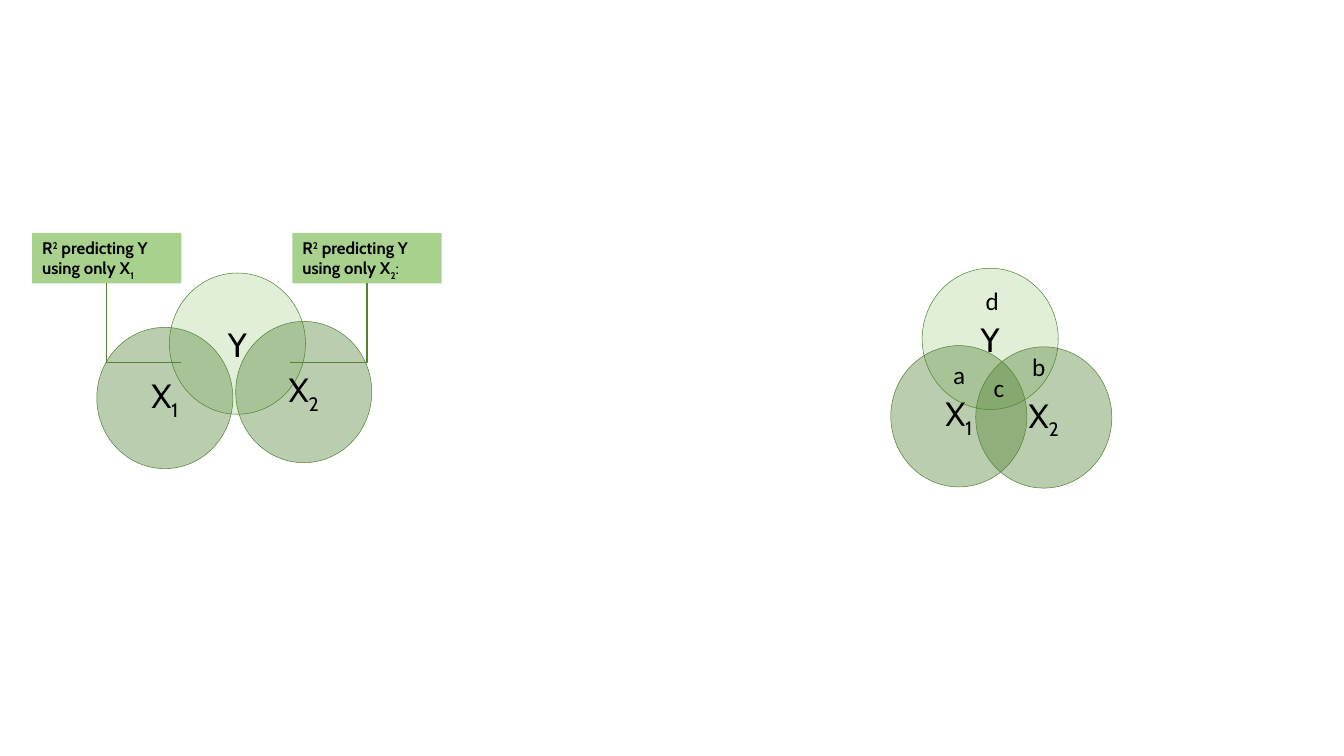
from lxml import etree
from pptx import Presentation
from pptx.dml.color import RGBColor
from pptx.enum.shapes import MSO_CONNECTOR, MSO_SHAPE
from pptx.enum.text import MSO_ANCHOR, MSO_AUTO_SIZE, PP_ALIGN
from pptx.oxml.ns import qn
from pptx.util import Cm, Pt

OVAL = MSO_SHAPE.OVAL
RECTANGLE = MSO_SHAPE.RECTANGLE
ELBOW = MSO_CONNECTOR.ELBOW
MIDDLE = MSO_ANCHOR.MIDDLE
TOP = MSO_ANCHOR.TOP
FIT_SHAPE = MSO_AUTO_SIZE.SHAPE_TO_FIT_TEXT
CENTER = PP_ALIGN.CENTER
LEFT = PP_ALIGN.LEFT

BLACK = RGBColor(0x00, 0x00, 0x00)
PALE_GREEN = RGBColor(0xC5, 0xE0, 0xB4)
DARK_GREEN = RGBColor(0x54, 0x82, 0x35)
LABEL_GREEN = RGBColor(0xA9, 0xD1, 0x8E)

SUBSCRIPT = -25
SUPERSCRIPT = 30
BOTTOM = 2

VARIABLE_FONT = {"name": "Cabin", "size": Pt(24)}
LABEL_FONT = {"name": "Cabin", "size": Pt(12), "bold": True}
REGION_FONT = {"name": "Calibri", "size": Pt(18)}

CIRCLE_FRAME = {
    "margin_left": 0, "margin_top": 0, "margin_right": 0, "margin_bottom": 0,
    "word_wrap": False, "vertical_anchor": MIDDLE,
}
BOX_FRAME = {"word_wrap": True, "vertical_anchor": TOP, "auto_size": FIT_SHAPE}

CIRCLE_WIDTH, CIRCLE_HEIGHT = 3.43, 3.56
LABEL_TOP, LABEL_WIDTH, LABEL_HEIGHT = 5.87, 3.76, 1.27
BEND_TOP = 9.14

Y = [("Y", 0)]
X1 = [("X", 0), ("1", SUBSCRIPT)]
X2 = [("X", 0), ("2", SUBSCRIPT)]
VARIABLE_FILLS = [(Y, PALE_GREEN, 50), (X2, DARK_GREEN, 40), (X1, DARK_GREEN, 40)]

SEPARATE_VENN = [(4.27, 6.88), (5.94, 8.1), (2.44, 8.25)]
OVERLAPPING_VENN = [(23.24, 6.76), (24.59, 8.74), (22.45, 8.71)]
REGIONS = [("a", 23.77, 8.94), ("b", 25.76, 8.74), ("c", 24.79, 9.25), ("d", 24.59, 7.06)]


def apply(target, values):
    for name, value in values.items():
        setattr(target, name, value)


def write(shape, pieces, font, frame, alignment=LEFT):
    apply(shape.text_frame, frame)
    paragraph = shape.text_frame.paragraphs[0]
    paragraph.alignment = alignment
    for text, baseline in pieces:
        run = paragraph.add_run()
        run.text = text
        apply(run.font, font)
        run.font.color.rgb = BLACK
        if baseline:
            run.font._element.set("baseline", str(baseline * 1000))
    return paragraph


def add_filled(slide, kind, left, top, width, height, color):
    shape = slide.shapes.add_shape(kind, Cm(left), Cm(top), Cm(width), Cm(height))
    shape.shadow.inherit = False
    shape.fill.solid()
    shape.fill.fore_color.rgb = color
    return shape


def add_circle(slide, left, top, variable, color, opacity):
    circle = add_filled(slide, OVAL, left, top, CIRCLE_WIDTH, CIRCLE_HEIGHT, color)
    tint = circle._element.spPr.find(qn("a:solidFill"))[0]
    etree.SubElement(tint, qn("a:alpha")).set("val", str(opacity * 1000))
    circle.line.color.rgb = DARK_GREEN
    circle.line.width = Pt(0.37)
    write(circle, variable, VARIABLE_FONT, CIRCLE_FRAME, CENTER)


def add_venn(slide, positions):
    for (left, top), (variable, color, opacity) in zip(positions, VARIABLE_FILLS):
        add_circle(slide, left, top, variable, color, opacity)


def add_label(slide, left, number, ending, pointer_left):
    label = add_filled(slide, RECTANGLE, left, LABEL_TOP, LABEL_WIDTH, LABEL_HEIGHT, LABEL_GREEN)
    label.line.fill.background()
    pieces = [("R", 0), ("2", SUPERSCRIPT), (" predicting Y using only X", 0), (number, SUBSCRIPT)]
    sentence = write(label, pieces, LABEL_FONT, BOX_FRAME)
    if ending:
        colon = sentence.add_run()
        colon.text = ending
        apply(colon.font, {**LABEL_FONT, "bold": False})
        colon.font.color.rgb = BLACK

    pointer = slide.shapes.add_connector(
        ELBOW, Cm(pointer_left), Cm(BEND_TOP),
        Cm(left + LABEL_WIDTH / 2), Cm(LABEL_TOP + LABEL_HEIGHT))
    pointer.end_connect(label, BOTTOM)
    pointer.line.color.rgb = DARK_GREEN
    pointer.line.width = Pt(0.75)
    properties = pointer._element.spPr
    properties.find(qn("a:prstGeom")).set("prst", "bentConnector2")
    etree.SubElement(properties, qn("a:effectLst"))


def add_region(slide, letter, left, top):
    region = slide.shapes.add_textbox(Cm(left), Cm(top), Cm(0.53), Cm(1.02))
    write(region, [(letter, 0)], REGION_FONT, BOX_FRAME)


def main():
    presentation = Presentation()
    presentation.slide_width = Cm(33.87)
    presentation.slide_height = Cm(19.05)
    slide = presentation.slides.add_slide(presentation.slide_layouts[6])

    add_venn(slide, SEPARATE_VENN)
    add_label(slide, 0.81, "1", "", 4.57)
    add_label(slide, 7.37, "2", ":", 7.32)
    add_venn(slide, OVERLAPPING_VENN)
    for letter, left, top in REGIONS:
        add_region(slide, letter, left, top)

    presentation.save("out.pptx")


if __name__ == "__main__":
    main()
